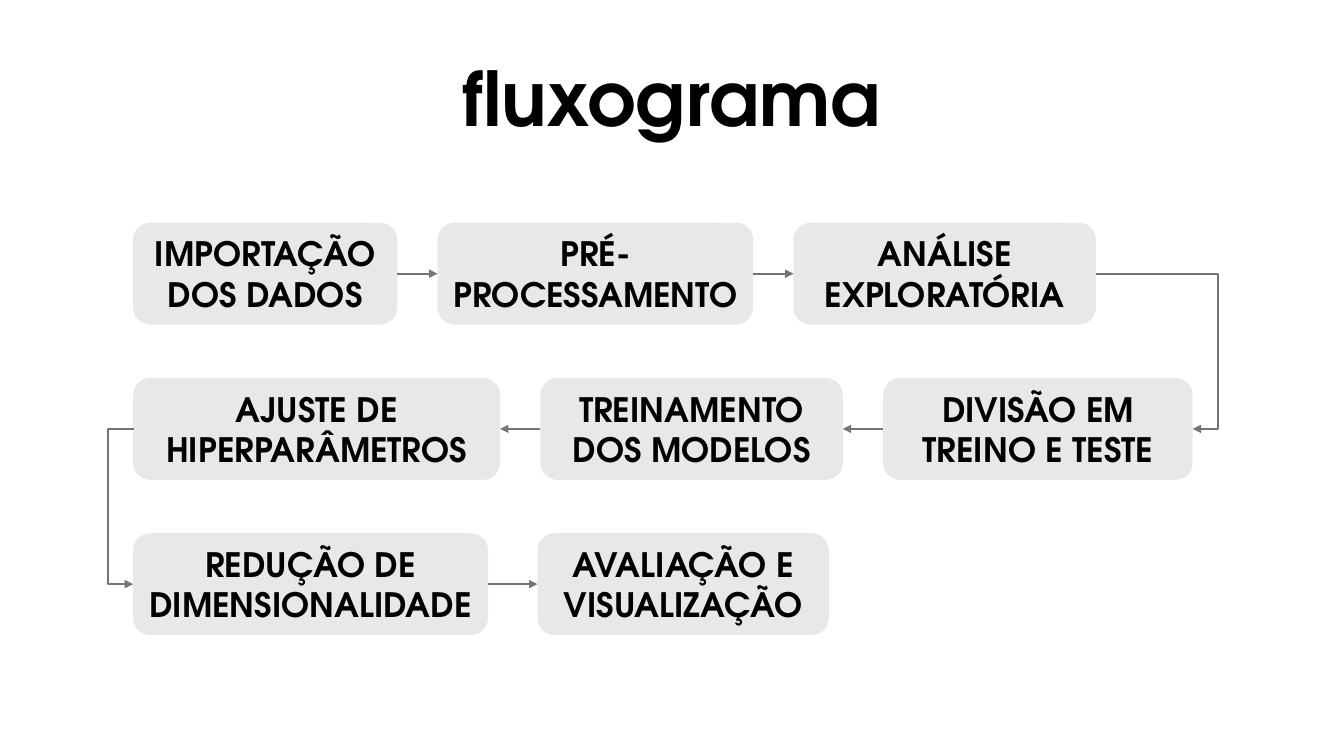
from lxml import etree
from pptx import Presentation
from pptx.dml.color import RGBColor
from pptx.enum.shapes import MSO_CONNECTOR, MSO_SHAPE
from pptx.enum.text import MSO_ANCHOR, PP_ALIGN
from pptx.oxml.ns import qn
from pptx.util import Inches, Pt

STRAIGHT, ELBOW = MSO_CONNECTOR.STRAIGHT, MSO_CONNECTOR.ELBOW
ROUNDED = MSO_SHAPE.ROUNDED_RECTANGLE
CENTER, MIDDLE = PP_ALIGN.CENTER, MSO_ANCHOR.MIDDLE
LEFT_SIDE, RIGHT_SIDE = 1, 3

FONT = "TeX Gyre Adventor"
COLORS = {"text": "000000", "step": "E8E8E8", "arrow": "747474"}
STEP_HEIGHT, ROW_PITCH = 1.01, 1.54
ELBOW_REACH = 0.25

# Each row: gap between steps, whether it reads leftwards, (label, width) from left to right
ROWS = [
    (0.4, False, [("IMPORTAÇÃO DOS DADOS", 2.62),
                  ("PRÉ-PROCESSAMENTO", 3.13),
                  ("ANÁLISE EXPLORATÓRIA", 3.0)]),
    (0.4, True, [("AJUSTE DE HIPERPARÂMETROS", 3.64),
                 ("TREINAMENTO DOS MODELOS", 3.0),
                 ("DIVISÃO EM TREINO E TESTE", 3.07)]),
    (0.49, False, [("REDUÇÃO DE DIMENSIONALIDADE", 3.52),
                   ("AVALIAÇÃO E VISUALIZAÇÃO", 2.89)]),
]


def write_text(shape, text, size=24, bold=True, color="text"):
    frame = shape.text_frame
    frame.word_wrap = True
    frame.vertical_anchor = MIDDLE
    frame.text = text
    paragraph = frame.paragraphs[0]
    paragraph.alignment = CENTER
    paragraph.line_spacing = 1.0
    font = paragraph.runs[0].font
    font.name, font.size, font.bold = FONT, Pt(size), bold
    font.color.rgb = RGBColor.from_string(COLORS[color])


def add_title(slide, left, top, width, height):
    title = slide.shapes.title
    title.left, title.top = Inches(left), Inches(top)
    title.width, title.height = Inches(width), Inches(height)
    write_text(title, "fluxograma", size=54)


def add_step(slide, label, left, top, width):
    step = slide.shapes.add_shape(
        ROUNDED, Inches(left), Inches(top), Inches(width), Inches(STEP_HEIGHT))
    step.shadow.inherit = False
    step.fill.solid()
    step.fill.fore_color.rgb = RGBColor.from_string(COLORS["step"])
    step.line.fill.background()
    write_text(step, label)
    return step


def add_arrow(slide, kind, begin_x, begin_y, end_x, end_y):
    arrow = slide.shapes.add_connector(kind, begin_x, begin_y, end_x, end_y)
    arrow.line.color.rgb = RGBColor.from_string(COLORS["arrow"])
    arrow.line.width = Pt(1.5)
    etree.SubElement(arrow.line._get_or_add_ln(), qn("a:tailEnd"), type="triangle")
    etree.SubElement(arrow._element.spPr, qn("a:effectLst"))
    return arrow


def middle(step):
    return step.top + step.height // 2


def join_neighbours(slide, source, target, leftwards):
    """Straight arrow between two steps of one row."""
    sides = (LEFT_SIDE, RIGHT_SIDE) if leftwards else (RIGHT_SIDE, LEFT_SIDE)
    arrow = add_arrow(slide, STRAIGHT, 0, 0, 0, 0)
    arrow.begin_connect(source, sides[0])
    arrow.end_connect(target, sides[1])


def join_rows(slide, source, target, leftwards):
    """Elbow arrow that swings outside the flow to reach the next row."""
    if leftwards:
        # A slight inset keeps the width above zero, which the bend is measured by
        begin_x, end_x = source.left + Inches(0.01), target.left
        bend_x = end_x - Inches(ELBOW_REACH)
    else:
        begin_x = source.left + source.width
        end_x = target.left + target.width
        bend_x = end_x + Inches(ELBOW_REACH)
    arrow = add_arrow(slide, ELBOW, begin_x, middle(source), end_x, middle(target))
    bend = round(100000 * (bend_x - begin_x) / (end_x - begin_x))
    guides = arrow._element.spPr.find(qn("a:prstGeom")).get_or_add_avLst()
    etree.SubElement(guides, qn("a:gd"), name="adj1", fmla=f"val {bend}")


def add_row(slide, left, top, gap, leftwards, labels):
    """Place one row and return its steps in reading order."""
    steps = []
    for label, width in labels:
        steps.append(add_step(slide, label, left, top, width))
        left += width + gap
    if leftwards:
        steps.reverse()
    for source, target in zip(steps, steps[1:]):
        join_neighbours(slide, source, target, leftwards)
    return steps


def add_flow(slide, left, top):
    rows = [add_row(slide, left, top + i * ROW_PITCH, *row)
            for i, row in enumerate(ROWS)]
    for (_, leftwards, _), steps, next_steps in zip(ROWS, rows, rows[1:]):
        join_rows(slide, steps[-1], next_steps[0], leftwards)


def main():
    deck = Presentation()
    deck.slide_width, deck.slide_height = Inches(13.33), Inches(7.5)
    slide = deck.slides.add_slide(deck.slide_layouts[5])
    add_title(slide, 3.79, 0.45, 5.74, 1.01)
    add_flow(slide, 1.32, 2.21)
    deck.save("out.pptx")


if __name__ == "__main__":
    main()
